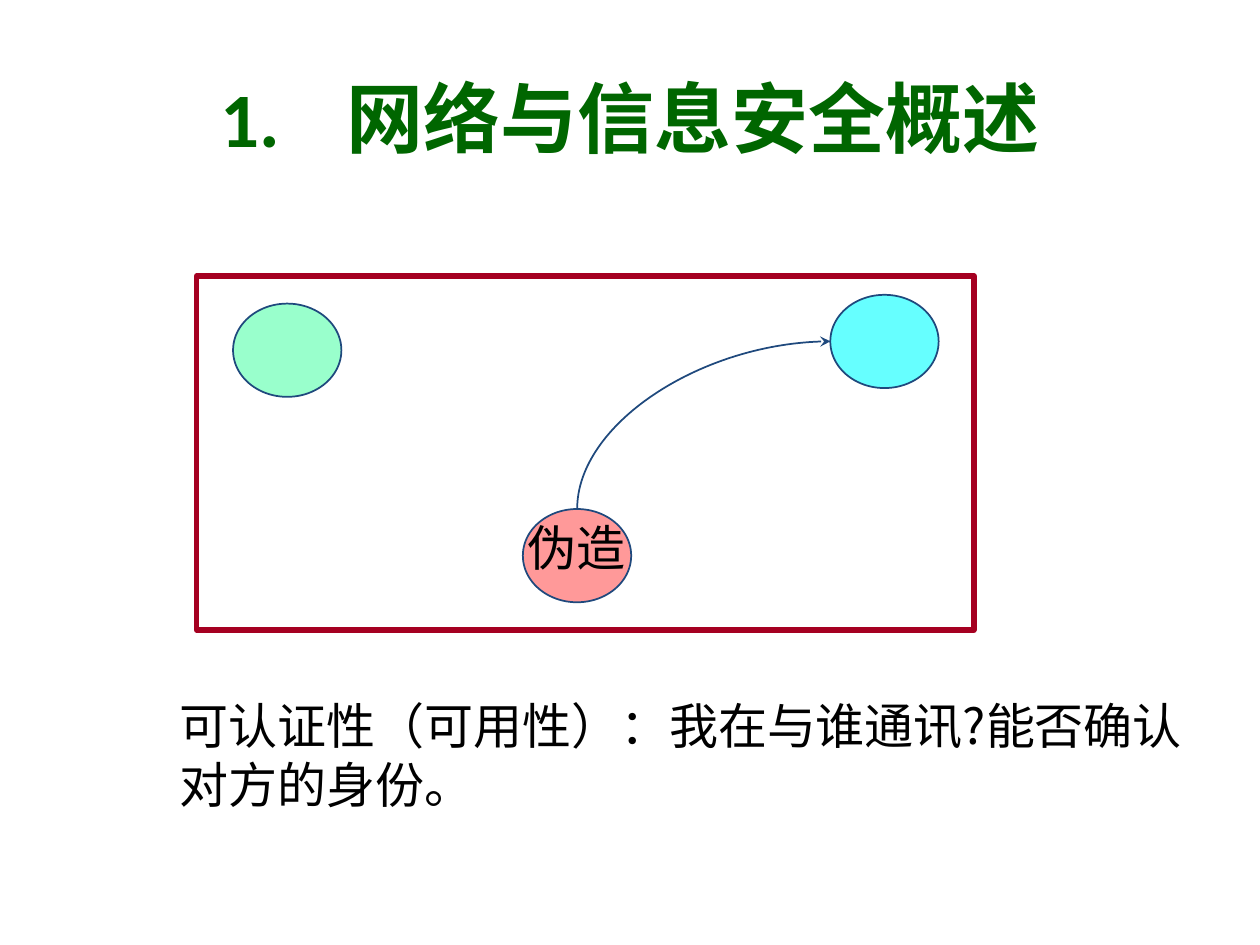
from dataclasses import dataclass

from lxml.etree import SubElement
from pptx import Presentation
from pptx.dml.color import RGBColor
from pptx.enum.shapes import MSO_CONNECTOR as Link, MSO_SHAPE as Form
from pptx.enum.text import MSO_ANCHOR as Anchor, MSO_AUTO_SIZE as Fit, PP_ALIGN as Align
from pptx.oxml.ns import qn
from pptx.util import Inches, Pt


@dataclass(frozen=True)
class Theme:
    title: str = "006600"
    text: str = "000000"
    frame: str = "A50021"
    outline: str = "1F497D"
    sender: str = "99FFCC"
    receiver: str = "66FFFF"
    forger: str = "FF9999"
    latin: str = "Arial"
    heading: str = "Calibri"
    chinese: str = "Noto Sans CJK SC"
    title_size: int = 44
    body_size: int = 28


THEME = Theme()
NODE_SIZE = (0.86, 0.74)


def write(para, text, *, font, size=THEME.body_size, color=THEME.text, bold=False):
    span = para.add_run()
    span.text = text
    span.font.size = Pt(size)
    span.font.bold = bold
    span.font.color.rgb = RGBColor.from_string(color)
    span.font.name = font
    SubElement(span.font._element, qn("a:ea"), typeface=THEME.chinese)


def set_line(shape, color, width):
    shape.line.color.rgb = RGBColor.from_string(color)
    shape.line.width = Pt(width)


def add_form(group, form, area, *, fill=None, line=THEME.outline, width=1):
    shape = group.shapes.add_shape(form, *map(Inches, area))
    shape.shadow.inherit = False
    if fill:
        shape.fill.solid()
        shape.fill.fore_color.rgb = RGBColor.from_string(fill)
    else:
        shape.fill.background()
    set_line(shape, line, width)


def add_node(group, left, top, fill):
    add_form(group, Form.OVAL, (left, top, *NODE_SIZE), fill=fill)


def add_curved_arrow(group, start, end):
    middle_x, middle_y = (start[0] + end[0]) / 2, (start[1] + end[1]) / 2
    half_width, half_height = (start[1] - end[1]) / 2, (end[0] - start[0]) / 2
    corners = (middle_x + half_width, middle_y + half_height,
               middle_x - half_width, middle_y - half_height)
    arrow = group.shapes.add_connector(Link.CURVE, *map(Inches, corners))
    set_line(arrow, THEME.outline, 1)
    properties = arrow._element.spPr
    properties.find(qn("a:xfrm")).set("rot", str(90 * 60000))
    properties.find(qn("a:prstGeom")).set("prst", "curvedConnector2")
    SubElement(properties.find(qn("a:ln")), qn("a:tailEnd"), type="stealth")
    SubElement(properties, qn("a:effectLst"))


def add_text(parent, area, text, *, font, wrap=True):
    box = parent.shapes.add_textbox(*map(Inches, area))
    frame = box.text_frame
    frame.word_wrap = wrap
    frame.auto_size = Fit.SHAPE_TO_FIT_TEXT
    write(frame.paragraphs[0], text, font=font)


def add_title(page, text):
    title = page.shapes.title
    title.left, title.top, title.width, title.height = map(Inches, (0.5, 0.3, 9, 1.25))
    title.text_frame.vertical_anchor = Anchor.MIDDLE
    para = title.text_frame.paragraphs[0]
    para.alignment = Align.CENTER
    tabs = SubElement(para._p.get_or_add_pPr(), qn("a:tabLst"))
    for position in range(8):
        SubElement(tabs, qn("a:tab"), pos=str(Inches(position)), algn="l")
    write(para, text, font=THEME.heading, size=THEME.title_size,
          color=THEME.title, bold=True)


def add_diagram(page):
    group = page.shapes.add_group_shape()
    add_form(group, Form.RECTANGLE, (1.56, 2.19, 6.17, 2.81), line=THEME.frame, width=3)
    add_node(group, 1.85, 2.41, THEME.sender)
    add_node(group, 6.59, 2.34, THEME.receiver)
    add_node(group, 4.15, 4.04, THEME.forger)
    add_curved_arrow(group, (4.58, 4.04), (6.59, 2.71))
    add_text(group, (4.09, 4.06, 0.99, 0.57), "伪造", font=THEME.latin, wrap=False)


def main():
    deck = Presentation()
    deck.slide_width, deck.slide_height = Inches(10), Inches(7.5)
    page = deck.slides.add_slide(deck.slide_layouts[5])
    add_diagram(page)
    add_text(page, (1.33, 5.47, 8.36, 1.04),
             "可认证性（可用性）：我在与谁通讯?能否确认对方的身份。", font=THEME.chinese)
    add_title(page, "1.\t网络与信息安全概述")
    deck.save("out.pptx")


if __name__ == "__main__":
    main()
